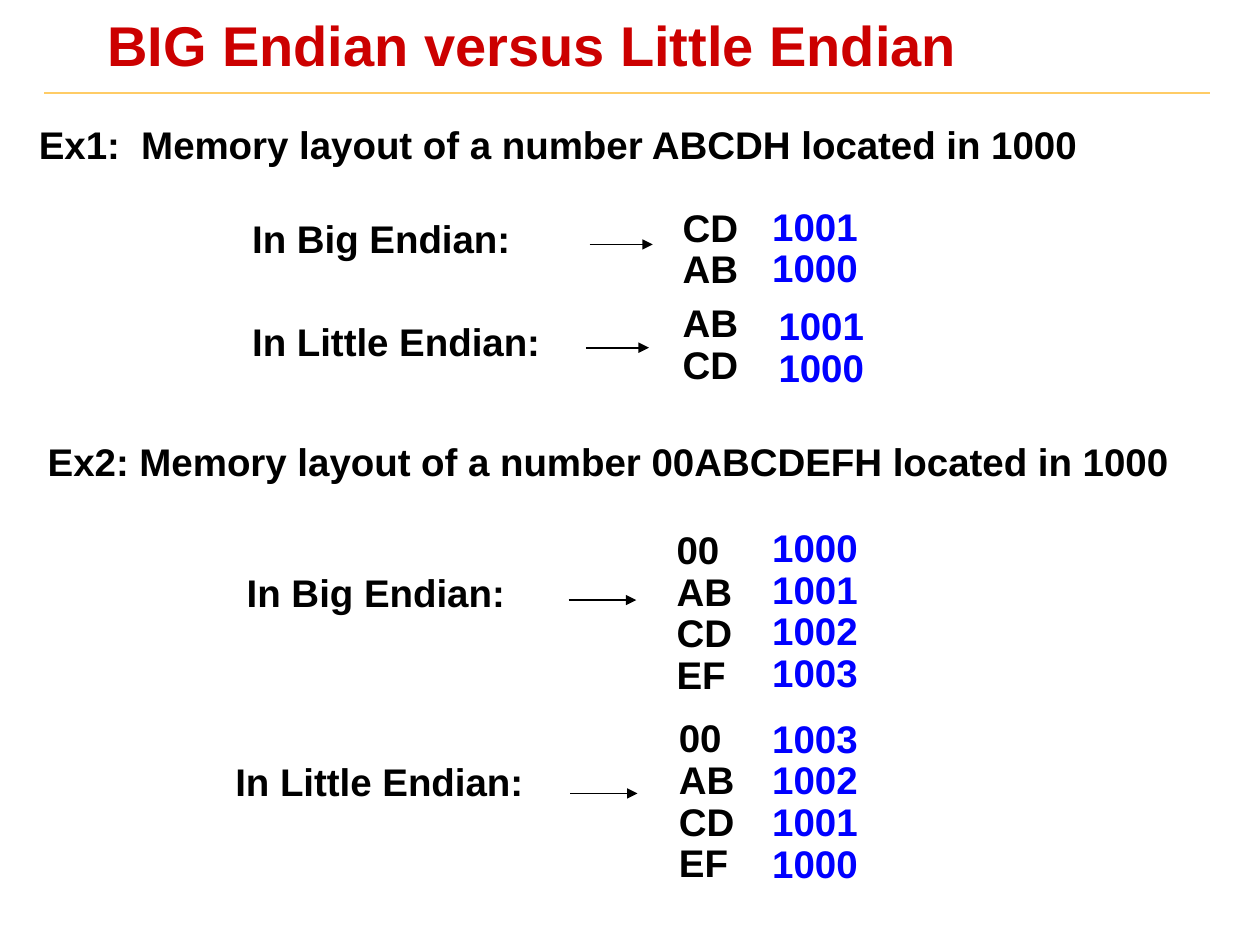
from lxml import etree
from pptx import Presentation
from pptx.dml.color import RGBColor
from pptx.enum.shapes import MSO_CONNECTOR as Conn
from pptx.enum.text import MSO_ANCHOR as Anchor, MSO_AUTO_SIZE as Fit, PP_ALIGN as Align
from pptx.oxml.ns import qn
from pptx.util import Pt

RED = RGBColor(0xCC, 0x00, 0x00)
GOLD = RGBColor(0xFF, 0xCC, 0x66)
BLACK = RGBColor(0x00, 0x00, 0x00)
BLUE = RGBColor(0x00, 0x00, 0xFF)


def write(box, lines, size, color, gap):
    """Fill a box with one bold left-aligned paragraph per line."""
    frame = box.text_frame
    frame.word_wrap = True
    for i, line in enumerate(lines):
        para = frame.add_paragraph() if i else frame.paragraphs[0]
        para.alignment = Align.LEFT
        para.line_spacing = gap
        run = para.add_run()
        run.text = line
        run.font.name = "Arial"
        run.font.size = Pt(size)
        run.font.bold = True
        run.font.color.rgb = color


def rule(shapes, left, right, y, color):
    """Draw a level line without a shadow."""
    line = shapes.add_connector(Conn.STRAIGHT, Pt(left), Pt(y), Pt(right), Pt(y))
    line.line.color.rgb = color
    line.line.width = Pt(1)
    etree.SubElement(line._element.spPr, qn("a:effectLst"))
    return line


deck = Presentation()
deck.slide_width, deck.slide_height = Pt(720), Pt(540)
slide = deck.slides.add_slide(deck.slide_layouts[5])
shapes = slide.shapes

rule(shapes, 25.2, 691.2, 53.3, GOLD)

title = shapes.title
title.left, title.top, title.width, title.height = Pt(56.2), Pt(9.4), Pt(555), Pt(37.4)
frame = title.text_frame
frame.margin_left = frame.margin_right = Pt(5)
frame.margin_top = frame.margin_bottom = Pt(2.2)
frame.vertical_anchor = Anchor.MIDDLE
frame.auto_size = Fit.NONE
write(title, ["BIG Endian versus Little Endian"], 32, RED, 0.87)

heads = [
    (15.1, 68.4, 693.4, "Ex1:  Memory layout of a number ABCDH located in 1000"),
    (20.2, 249.8, 676, "Ex2: Memory layout of a number 00ABCDEFH located in 1000"),
]
for left, top, width, text in heads:
    box = shapes.add_textbox(Pt(left), Pt(top), Pt(width), Pt(31))
    write(box, [text], 22, BLACK, 0.9)

# label and its place, arrow (left, right, y), bytes, addresses
cases = [
    ("In Big Endian:", 137, 122.4, (337, 373, 139.7),
     (383, 116, 47, "CD AB"), (434.2, 115.2, "1001 1000")),
    ("In Little Endian:", 137, 181.4, (334.8, 370.8, 198.7),
     (383, 170.6, 47, "AB CD"), (437.8, 172.1, "1001 1000")),
    ("In Big Endian:", 133.9, 324.7, (325, 363.6, 342.9),
     (379.6, 300.1, 49.5, "00 AB CD EF"), (434.2, 299, "1000 1001 1002 1003")),
    ("In Little Endian:", 127.4, 432.7, (326, 364.3, 453.4),
     (380.9, 407.7, 49.5, "00 AB CD EF"), (434.2, 408, "1003 1002 1001 1000")),
]
for label, x, y, arrow, data, addr in cases:
    group = shapes.add_group_shape().shapes
    box = group.add_textbox(Pt(x), Pt(y), Pt(180), Pt(31))
    write(box, [label], 22, BLACK, 0.9)

    line = rule(group, *arrow, BLACK)
    etree.SubElement(line.line._get_or_add_ln(), qn("a:tailEnd"), type="triangle")

    left, top, width, text = data
    rows = text.split()
    tall = Pt(7.2 + 23.8 * len(rows))
    box = group.add_textbox(Pt(left), Pt(top), Pt(width), tall)
    write(box, rows, 22, BLACK, 0.9)

    left, top, text = addr
    box = shapes.add_textbox(Pt(left), Pt(top), Pt(64), tall)
    write(box, text.split(), 22, BLUE, 0.9)

deck.save("out.pptx")
